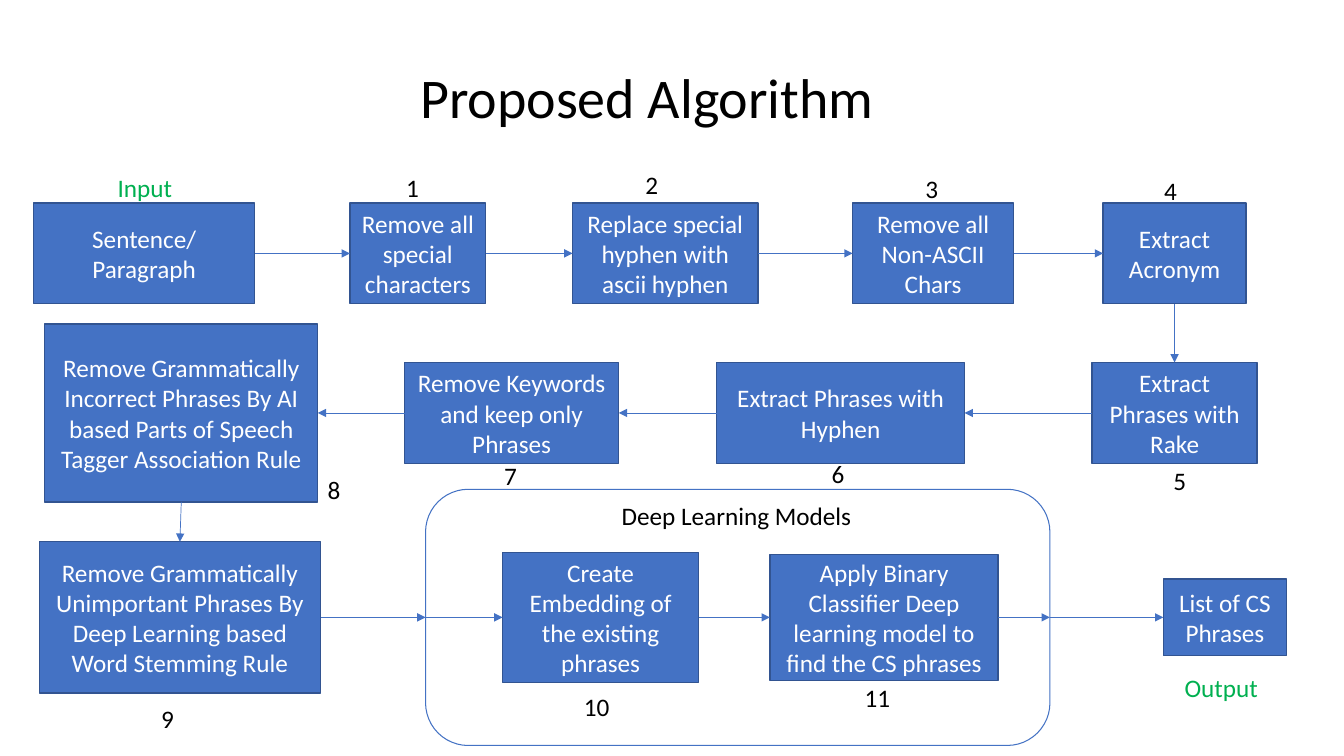
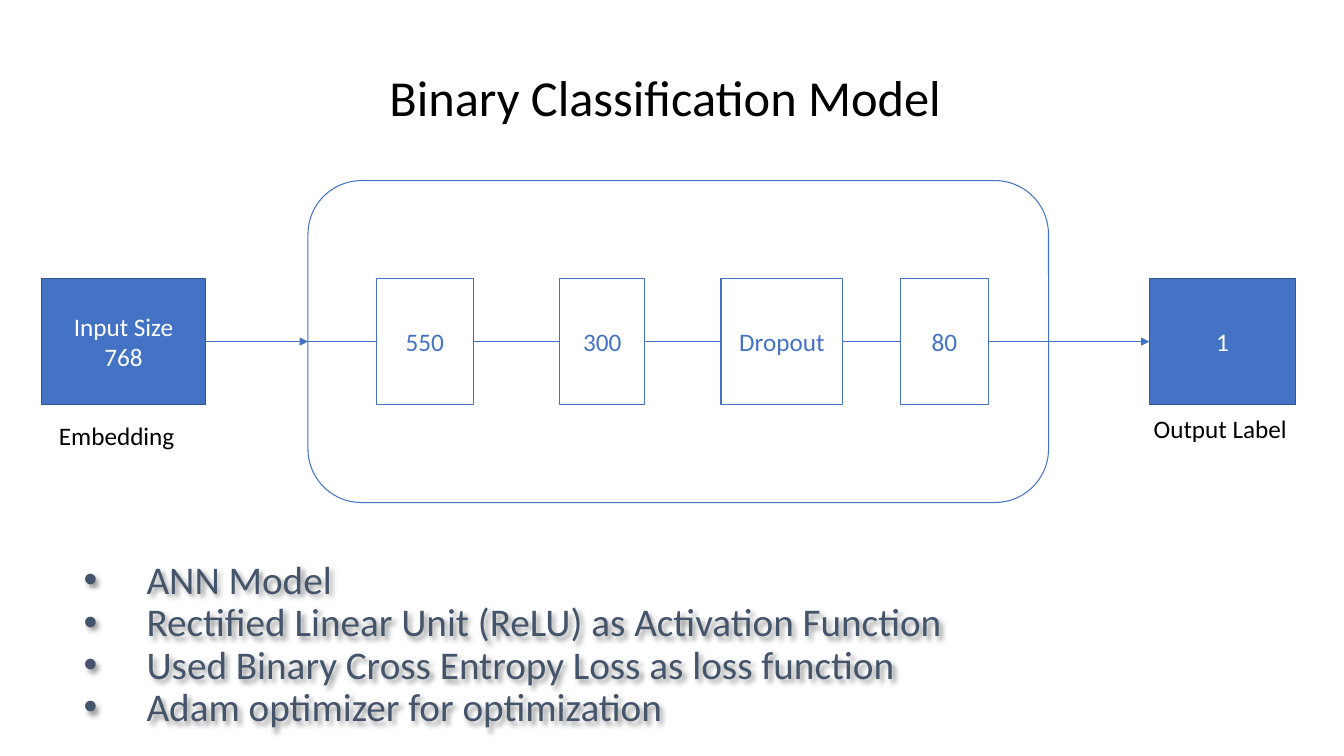
from dataclasses import dataclass

from lxml import etree
from pptx import Presentation
from pptx.dml.color import RGBColor
from pptx.enum.shapes import MSO_CONNECTOR, MSO_SHAPE
from pptx.enum.text import MSO_ANCHOR, MSO_AUTO_SIZE, PP_ALIGN
from pptx.oxml.ns import qn
from pptx.util import Pt

RECT, ROUND = MSO_SHAPE.RECTANGLE, MSO_SHAPE.ROUNDED_RECTANGLE
LINE = MSO_CONNECTOR.STRAIGHT
TOP, MID, LOW = MSO_ANCHOR.TOP, MSO_ANCHOR.MIDDLE, MSO_ANCHOR.BOTTOM
LEFT, CENTER = PP_ALIGN.LEFT, PP_ALIGN.CENTER
FIXED = MSO_AUTO_SIZE.NONE
N, W, S, E = range(4)  # sides of a rectangle


@dataclass(frozen=True)
class Theme:
    font: str = "Calibri"
    blue: str = "4472C4"
    edge: str = "325491"
    green: str = "00B050"
    slate: str = "44546A"
    white: str = "FFFFFF"
    black: str = "000000"
    text: int = 18
    list: int = 28
    label: int = 29  # height of a label
    tight: float = 0.9


T = Theme()

# Content. Rows: middle, then boxes as (key, left, width, height, text).
# A box without text is a rounded frame.
STEPS = {
    "title": ("Proposed Algorithm", 40, (293, 21, 357, 76)),
    "rows": [
        (181, [
            ("in", 24, 158, 72, "Sentence/Paragraph"),
            ("1", 250, 97, 72, "Remove all special characters"),
            ("2", 409, 132.5, 72, "Replace special hyphen with ascii hyphen"),
            ("3", 609, 115, 72, "Remove all Non-ASCII Chars"),
            ("4", 788, 102, 72, "Extract Acronym"),
        ]),
        (295, [
            ("5", 780, 118, 72, "Extract Phrases with Rake"),
            ("6", 512, 177, 72, "Extract Phrases with Hyphen"),
            ("7", 289, 153, 72, "Remove Keywords and keep only Phrases"),
            ("8", 32, 195, 127, "Remove Grammatically Incorrect Phrases By AI "
                                "based Parts of Speech Tagger Association Rule"),
        ]),
        (441, [
            ("9", 28, 201, 108, "Remove Grammatically Unimportant Phrases By "
                                "Deep Learning based Word Stemming Rule"),
            ("deep", 304, 446, 183, ""),
            ("10", 359, 140, 93, "Create Embedding of the existing phrases"),
            ("11", 550, 163, 90, "Apply Binary Classifier Deep learning model "
                                 "to find the CS phrases"),
            ("out", 831, 88, 55, "List of CS Phrases"),
        ]),
    ],
    "hollow": (),
    "arrows": [
        ("in", E, "1", W), ("1", E, "2", W), ("2", E, "3", W), ("3", E, "4", W),
        ("4", S, "5", N), ("5", W, "6", E), ("6", W, "7", E), ("7", W, "8", E),
        ("8", S, "9", N), ("9", E, "deep", W), ("deep", W, "10", W),
        ("10", E, "11", W), ("11", E, "deep", E), ("deep", E, "out", W),
    ],
    "links": [],
    # text, left, top, width, colour
    "labels": [
        ("Input", 77, 119.5, 58, T.green), ("Output", 839, 477, 74, T.green),
        ("Deep Learning Models", 437, 354, 181, T.black),
    ] + [(num, x, y, 58, T.black) for num, x, y in [
        ("1", 283, 119.5), ("2", 454, 117.5), ("3", 654, 120), ("4", 824.5, 121.5),
        ("5", 831, 329), ("6", 587, 324), ("7", 353, 325), ("8", 227, 335),
        ("9", 108, 499), ("10", 410, 490), ("11", 610.5, 484),
    ]],
}
MODEL = {
    "title": ("Binary Classification Model", 36, (271, 19, 418, 76)),
    "rows": [
        (244, [
            ("in", 29.5, 117.5, 90, "Input Size\n768"),
            ("net", 220, 529, 230, ""),
            ("550", 269, 69, 90, "550"),
            ("300", 400, 60.5, 90, "300"),
            ("drop", 515, 87, 90, "Dropout"),
            ("80", 643, 63, 90, "80"),
            ("out", 821, 104.5, 90, "1"),
        ]),
    ],
    "hollow": ("550", "300", "drop", "80"),
    "arrows": [("in", E, "net", W), ("net", E, "out", W)],
    "links": [
        ("net", W, "550", W), ("550", E, "300", W), ("300", E, "drop", W),
        ("drop", E, "80", W), ("80", E, "net", E),
    ],
    "labels": [
        ("Embedding", 35, 297, 105, T.black),
        ("Output Label", 817, 292, 113, T.black),
    ],
}
POINTS = [
    "ANN Model",
    "Rectified Linear Unit (ReLU) as Activation Function",
    "Used Binary Cross Entropy Loss as loss function",
    "Adam optimizer for optimization",
]


def rgb(code):
    return RGBColor.from_string(code)


def place(shape, box):
    shape.left, shape.top, shape.width, shape.height = map(Pt, box)


def write(shape, text, size=T.text, color=T.black, align=LEFT, anchor=TOP,
          space=1.0):
    frame = shape.text_frame
    frame.text = text
    frame.word_wrap = True
    frame.auto_size = FIXED
    frame.vertical_anchor = anchor
    for par in frame.paragraphs:
        par.alignment = align
        par.line_spacing = space
        par.space_before = Pt(0)
        for run in par.runs:
            font = run.font
            font.name, font.size, font.color.rgb = T.font, Pt(size), rgb(color)


def add_box(slide, box, text, hollow):
    shape = slide.shapes.add_shape(RECT if text else ROUND, *map(Pt, box))
    shape.shadow.inherit = False
    if hollow:
        shape.fill.background()
    else:
        shape.fill.solid()
        shape.fill.fore_color.rgb = rgb(T.blue)
    shape.line.color.rgb = rgb(T.blue if hollow else T.edge)
    shape.line.width = Pt(0.75 if hollow else 1)
    if text:
        write(shape, text, color=T.blue if hollow else T.white,
              align=CENTER, anchor=MID)
    return shape


def add_link(slide, start, out, end, into, arrow):
    link = slide.shapes.add_connector(LINE, 0, 0, 0, 0)
    link.begin_connect(start, out)
    link.end_connect(end, into)
    link.line.color.rgb = rgb(T.blue)
    link.line.width = Pt(0.5 if arrow else 0.75)
    if arrow:
        etree.SubElement(link.line._get_or_add_ln(), qn("a:tailEnd"),
                         type="triangle")
    etree.SubElement(link._element.spPr, qn("a:effectLst"))


def add_flow(deck, layout, data):
    slide = deck.slides.add_slide(deck.slide_layouts[layout])
    text, size, box = data["title"]
    place(slide.shapes.title, box)
    write(slide.shapes.title, text, size=size, anchor=LOW, space=T.tight)

    # Boxes, centred on the middle of their row
    parts = {}
    for mid, row in data["rows"]:
        for key, left, width, high, text in row:
            hollow = not text or key in data["hollow"]
            parts[key] = add_box(slide, (left, mid - high / 2, width, high),
                                 text, hollow)

    # Arrows and plain lines
    for kind in ("arrows", "links"):
        for start, out, end, into in data[kind]:
            add_link(slide, parts[start], out, parts[end], into,
                     kind == "arrows")

    # Labels
    for text, left, top, width, color in data["labels"]:
        label = slide.shapes.add_textbox(*map(Pt, (left, top, width, T.label)))
        write(label, text, color=color)
    return slide


def add_list(slide, items):
    body = slide.placeholders[1]
    place(body, (52.5, 368, 744, 157))
    write(body, "\n".join(items), size=T.list, color=T.slate, anchor=LOW,
          space=T.tight)
    for par in body.text_frame.paragraphs:
        props = par._p.get_or_add_pPr()
        props.set("marL", str(Pt(45)))
        props.set("indent", str(-Pt(45)))
        etree.SubElement(props, qn("a:buFont"), typeface="Arial")
        etree.SubElement(props, qn("a:buChar"), char="•")

    # Soft shadow behind the words
    effect = etree.SubElement(body._element.spPr, qn("a:effectLst"))
    shade = etree.SubElement(effect, qn("a:outerShdw"), blurRad=str(Pt(3)),
                             dist=str(Pt(2)), dir="2700000", algn="tl")
    tone = etree.SubElement(shade, qn("a:srgbClr"), val=T.black)
    etree.SubElement(tone, qn("a:alpha"), val="40000")


def main():
    deck = Presentation()
    deck.slide_width, deck.slide_height = Pt(960), Pt(540)
    add_flow(deck, 5, STEPS)
    add_list(add_flow(deck, 1, MODEL), POINTS)
    deck.save("out.pptx")


if __name__ == "__main__":
    main()
